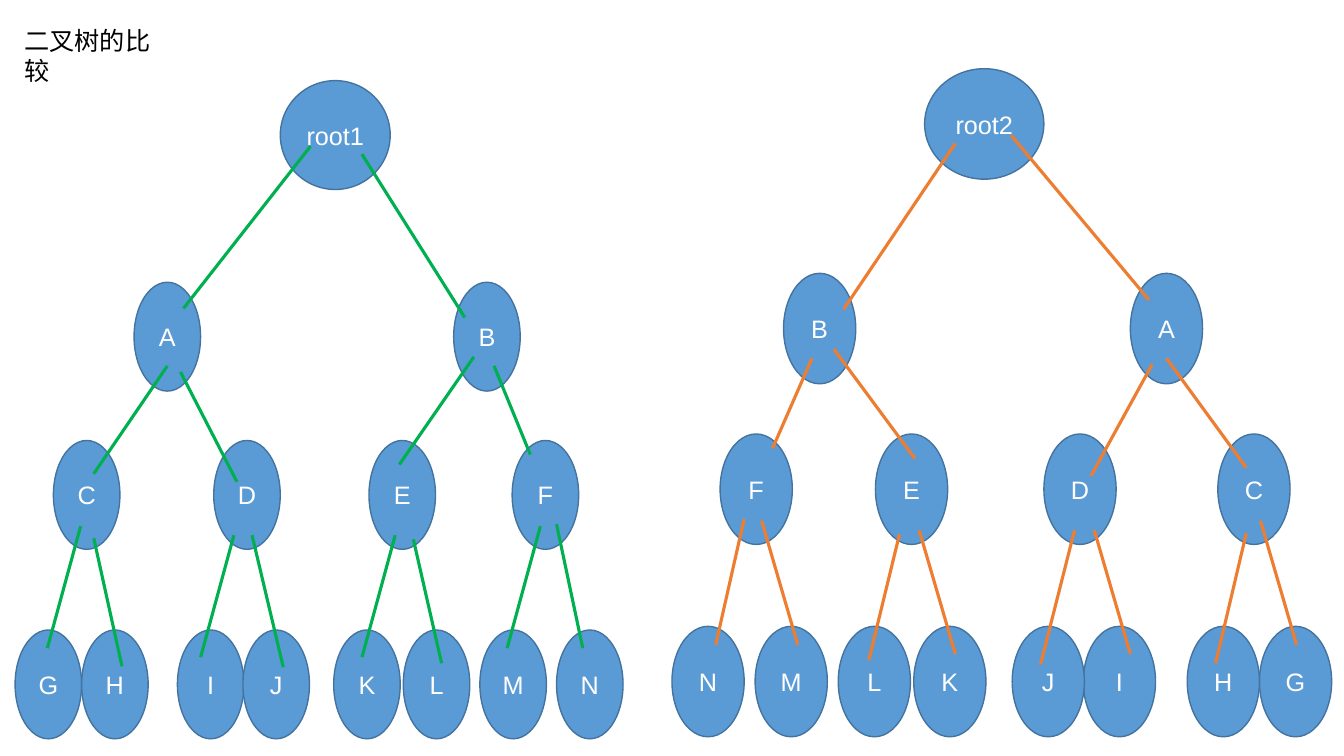
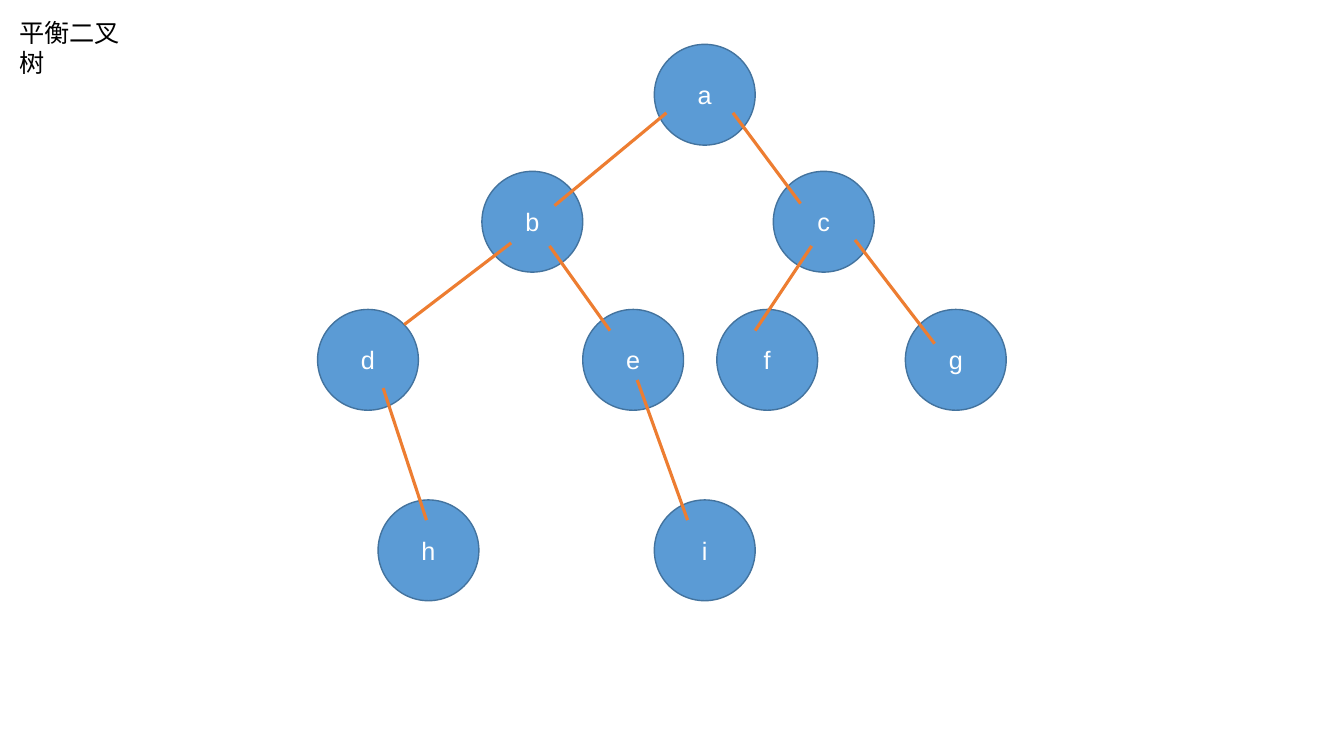
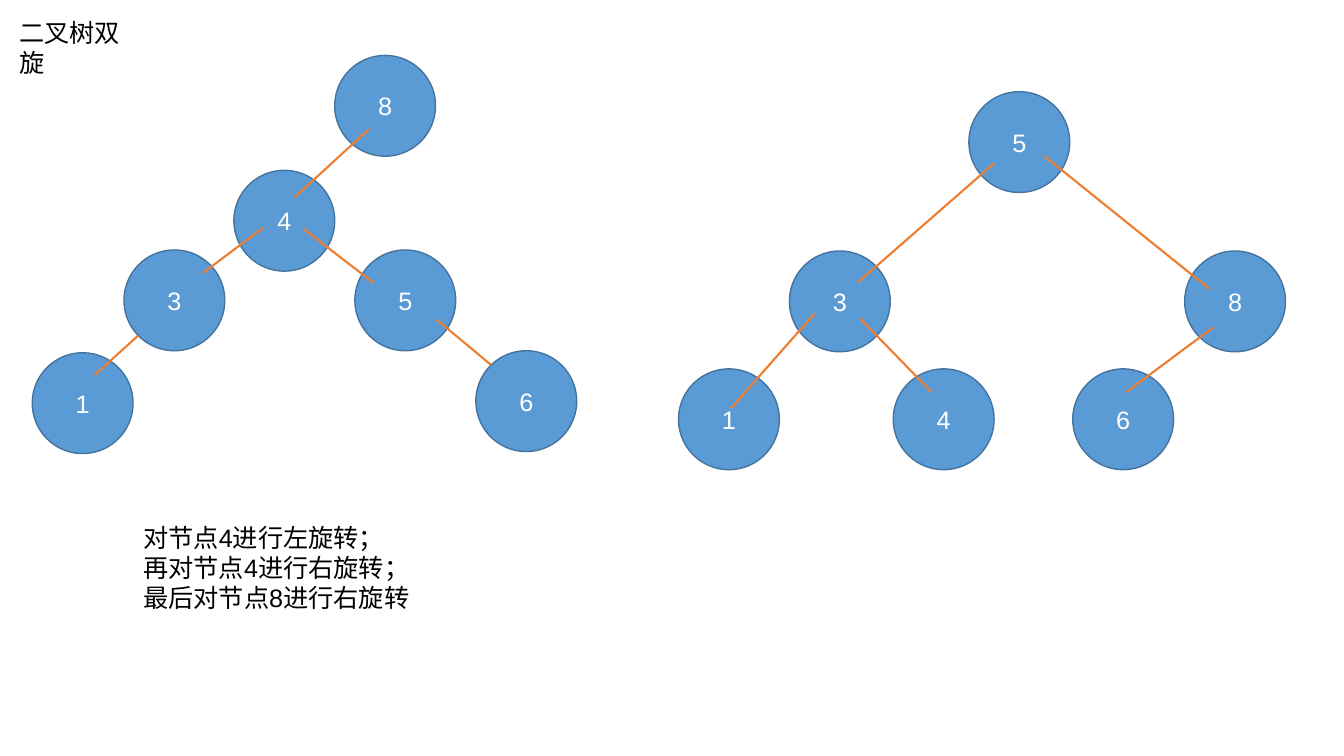
"""Build three slides of binary tree diagrams: comparison, balance and double rotation."""
from dataclasses import dataclass

from lxml.etree import SubElement
from pptx import Presentation
from pptx.dml.color import RGBColor
from pptx.enum.shapes import MSO_CONNECTOR, MSO_SHAPE
from pptx.enum.text import MSO_ANCHOR as Anchor, MSO_AUTO_SIZE as AutoSize, PP_ALIGN as Align
from pptx.oxml.ns import qn
from pptx.util import Inches, Pt


@dataclass(frozen=True)
class Theme:
    font: str = "Arial"
    size: Pt = Pt(18)
    ink: RGBColor = RGBColor(0, 0, 0)
    label: RGBColor = RGBColor(255, 255, 255)
    node: RGBColor = RGBColor.from_string("5B9BD5")
    rim: RGBColor = RGBColor.from_string("43739E")
    green: RGBColor = RGBColor.from_string("00B050")
    orange: RGBColor = RGBColor.from_string("ED7D31")


theme = Theme()


def set_text(box, lines, colour, align, anchor, wrap):
    frame = box.text_frame
    frame.text = "\n".join(lines)
    frame.auto_size = AutoSize.NONE
    frame.word_wrap = wrap
    frame.vertical_anchor = anchor
    for para in frame.paragraphs:
        para.alignment = align
        para.space_before = Pt(0)
        para.font.name = theme.font
        para.font.size = theme.size
        para.font.color.rgb = colour


def draw_tree(page, rows, links, colour, weight, across=(0, 1), down=(0, 1)):
    """Draw nodes, then links; across and down give the offset and scale of each axis."""
    (shift_x, scale_x), (shift_y, scale_y) = across, down
    for top, width, height, nodes in rows:
        node_width, node_height = width * abs(scale_x), height * scale_y
        for name, left in nodes.items():
            centre = shift_x + scale_x * (left + width / 2)
            node = page.shapes.add_shape(
                MSO_SHAPE.OVAL, Inches(centre - node_width / 2), Inches(shift_y + scale_y * top),
                Inches(node_width), Inches(node_height))
            node.shadow.inherit = False
            node.fill.solid()
            node.fill.fore_color.rgb = theme.node
            node.line.color.rgb = theme.rim
            node.line.width = Pt(1)
            set_text(node, [name], theme.label, Align.CENTER, Anchor.MIDDLE, False)
    for x1, y1, x2, y2 in links:
        link = page.shapes.add_connector(
            MSO_CONNECTOR.STRAIGHT,
            Inches(shift_x + scale_x * x1), Inches(shift_y + scale_y * y1),
            Inches(shift_x + scale_x * x2), Inches(shift_y + scale_y * y2))
        link.line.color.rgb = colour
        link.line.width = Pt(weight)
        SubElement(link._element.spPr, qn("a:effectLst"))


deck = Presentation()
deck.slide_width, deck.slide_height = Inches(13.33), Inches(7.5)
title_only, title_and_body = deck.slide_layouts[5], deck.slide_layouts[1]

pages = []
for layout, heading, left, top, width in (
    (title_only, "二叉树的比较", 0.14, 0.2, 1.7),
    (title_only, "平衡二叉树", 0.09, 0.12, 1.45),
    (title_and_body, "二叉树双旋", 0.09, 0.12, 1.45),
):
    page = deck.slides.add_slide(layout)
    title = page.shapes.title
    title.left, title.top = Inches(left), Inches(top)
    title.width, title.height = Inches(width), Inches(0.4)
    set_text(title, [heading], theme.ink, Align.LEFT, Anchor.TOP, False)
    pages.append(page)
comparison, balanced, rotation = pages

comparison_rows = [
    (2.8, 0.66, 1.08, {"A": 1.33, "B": 4.5}),
    (4.37, 0.66, 1.08, {"C": 0.53, "D": 2.12, "E": 3.66, "F": 5.08}),
    (6.25, 0.66, 1.08, {"G": 0.15, "H": 0.81, "I": 1.76, "J": 2.41,
                        "K": 3.31, "L": 4, "M": 4.76, "N": 5.52}),
]
comparison_links = [
    (3.08, 1.45, 1.82, 3.06), (3.59, 1.53, 4.61, 3.15),
    (1.66, 3.63, 0.93, 4.7), (1.79, 3.69, 2.35, 4.78),
    (4.7, 3.54, 3.96, 4.61), (4.9, 3.63, 5.26, 4.51),
    (0.8, 5.22, 0.47, 6.43), (0.93, 5.34, 1.21, 6.61),
    (2.32, 5.31, 1.99, 6.52), (2.5, 5.31, 2.81, 6.62),
    (3.92, 5.31, 3.59, 6.52), (4.1, 5.35, 4.38, 6.58),
    (5.36, 5.22, 5.03, 6.43), (5.52, 5.2, 5.78, 6.43),
]
mirror_across, mirror_down = (13.37, -1.085), (-0.13, 1.015)
for root, colour, across, down in (
    ("root1", theme.green, (0, 1), (0, 1)),
    ("root2", theme.orange, mirror_across, mirror_down),
):
    root_row = (0.8, 1.09, 1.08, {root: 2.78})
    draw_tree(comparison, [root_row, *comparison_rows], comparison_links,
              colour, 2.25, across, down)

balanced_rows = [
    (0.44, 1, 1, {"a": 6.49}),
    (1.7, 1, 1, {"b": 4.78, "c": 7.67}),
    (3.07, 1, 1, {"d": 3.15, "e": 5.78, "f": 7.11, "g": 8.98}),
    (4.96, 1, 1, {"h": 3.75, "i": 6.49}),
]
balanced_links = [
    (6.61, 1.12, 5.5, 2.04), (7.27, 1.12, 7.94, 2.02),
    (5.07, 2.41, 4.01, 3.22), (5.45, 2.44, 6.05, 3.28),
    (8.05, 2.44, 7.49, 3.28), (8.48, 2.38, 9.27, 3.41),
    (3.8, 3.85, 4.23, 5.16), (6.32, 3.77, 6.82, 5.16),
]
draw_tree(balanced, balanced_rows, balanced_links, theme.orange, 2.25)

before_rows = [
    (0.55, 1, 1, {"8": 3.32}),
    (1.69, 1, 1, {"4": 2.32}),
    (2.48, 1, 1, {"3": 1.23, "5": 3.52}),
    (3.5, 1, 1, {"1": 0.32}),
    (3.48, 1, 1, {"6": 4.72}),
]
before_links = [
    (3.66, 1.28, 2.92, 1.96), (2.61, 2.26, 2.01, 2.71), (3.01, 2.27, 3.71, 2.81),
    (1.37, 3.33, 0.94, 3.72), (4.33, 3.17, 4.87, 3.62),
]
after_rows = [
    (0.91, 1, 1, {"5": 9.61}),
    (2.49, 1, 1, {"3": 7.83, "8": 11.75}),
    (3.66, 1, 1, {"1": 6.73, "4": 8.86, "6": 10.64}),
]
after_links = [
    (9.86, 1.62, 8.51, 2.8), (10.36, 1.55, 12, 2.87), (8.08, 3.11, 7.25, 4.05),
    (8.53, 3.16, 9.24, 3.89), (12.03, 3.25, 11.17, 3.89),
]
for rows, links in ((before_rows, before_links), (after_rows, after_links)):
    draw_tree(rotation, rows, links, theme.orange, 1.5)

steps = rotation.placeholders[1]
steps.left, steps.top, steps.width, steps.height = map(Inches, (1.32, 5.13, 2.84, 1.01))
set_text(steps, ["对节点4进行左旋转；", "再对节点4进行右旋转；", "最后对节点8进行右旋转"],
         theme.ink, Align.LEFT, Anchor.TOP, True)
for para in steps.text_frame.paragraphs:
    properties = para._p.get_or_add_pPr()
    properties.set("marL", "0")
    properties.set("indent", "0")
    properties.insert_element_before(properties.makeelement(qn("a:buNone")), "a:defRPr")

deck.save("out.pptx")
